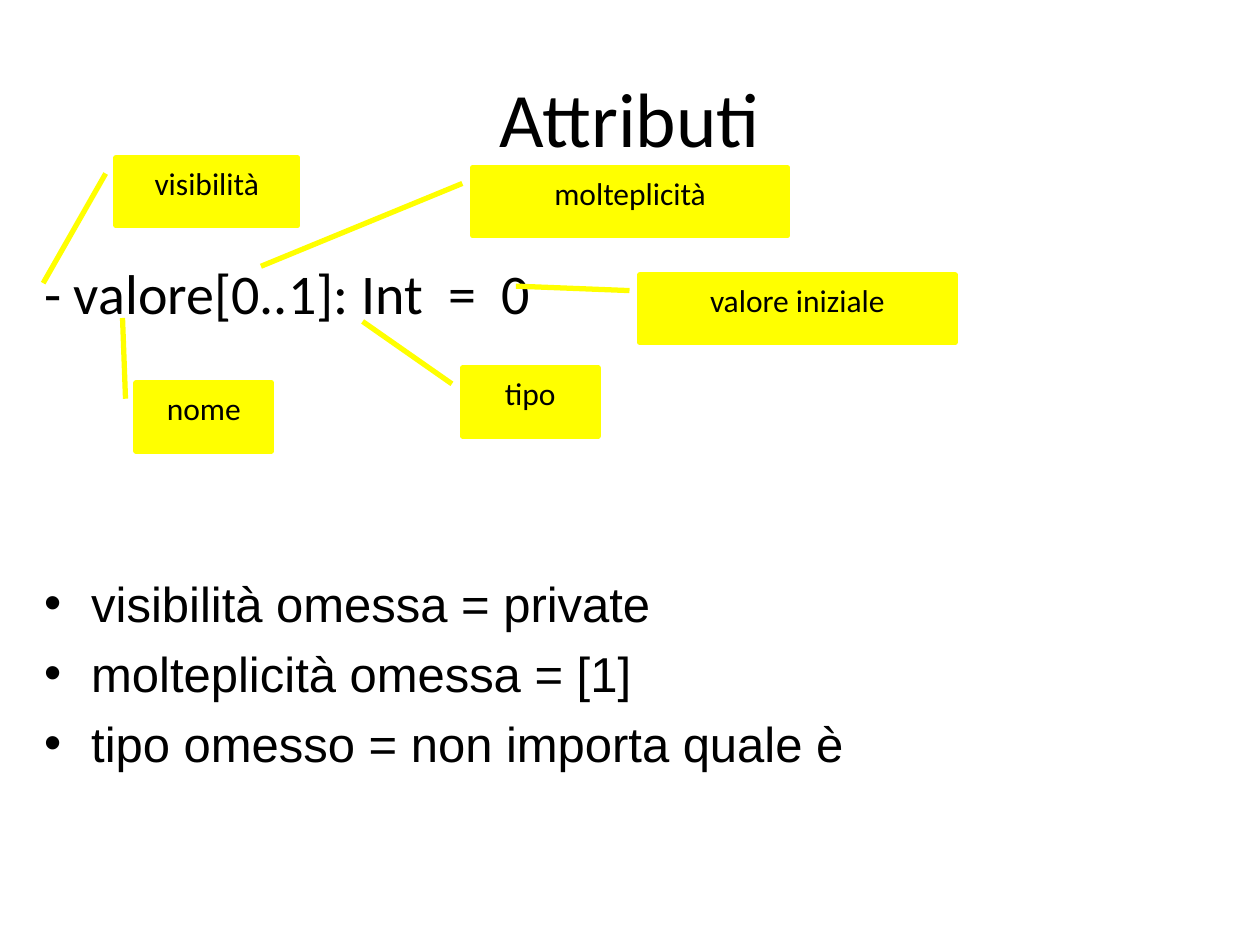
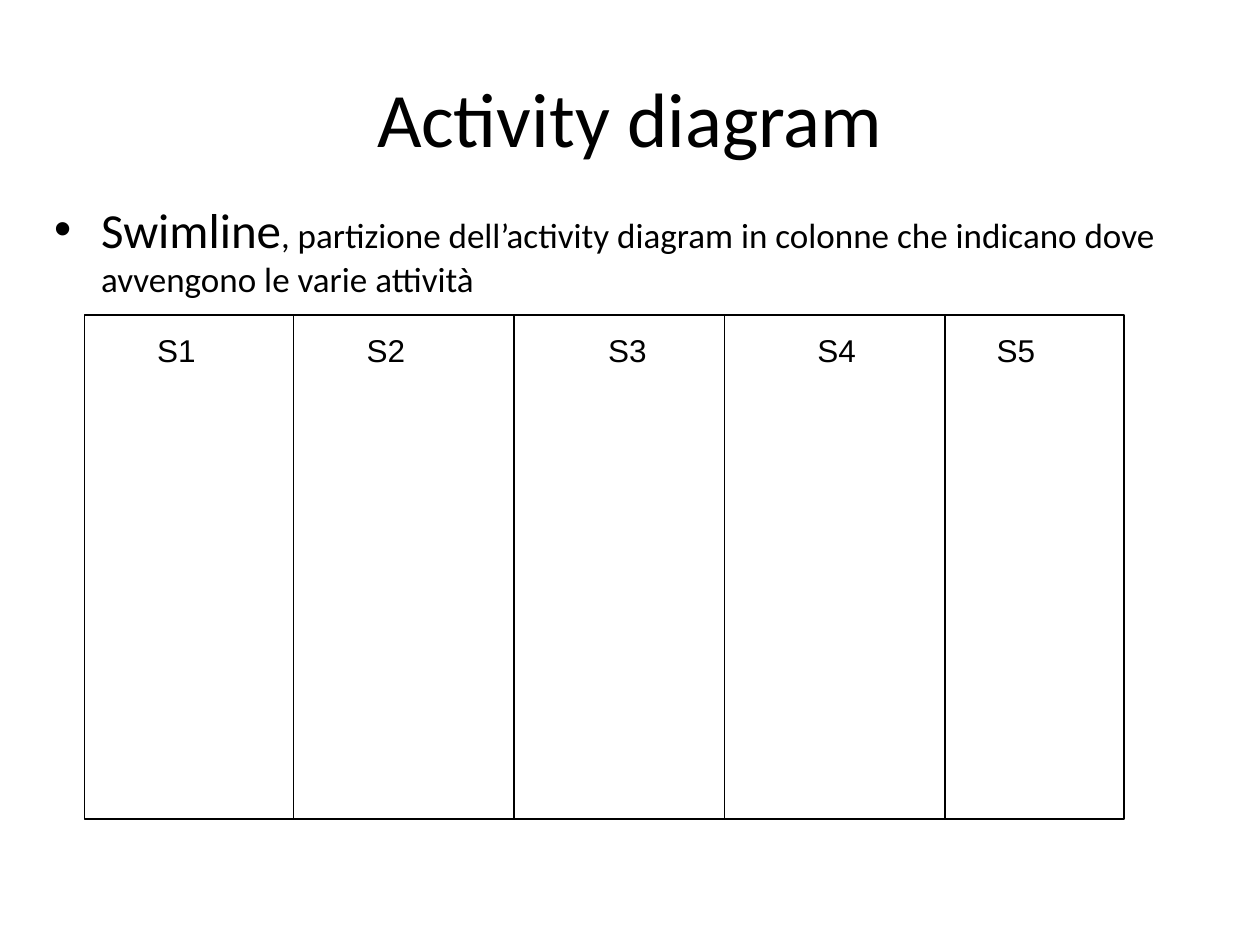
import dataclasses

import lxml.etree
import pptx
import pptx.dml.color
import pptx.enum.shapes
import pptx.enum.text
import pptx.oxml.ns
import pptx.util

Cm = pptx.util.Cm
Pt = pptx.util.Pt
RGBColor = pptx.dml.color.RGBColor
Align = pptx.enum.text.PP_ALIGN
Anchor = pptx.enum.text.MSO_ANCHOR
AutoSize = pptx.enum.text.MSO_AUTO_SIZE
Preset = pptx.enum.shapes.MSO_SHAPE


@dataclasses.dataclass(frozen=True)
class Theme:
    ink: RGBColor = RGBColor(0x00, 0x00, 0x00)
    highlight: RGBColor = RGBColor(0xFF, 0xFF, 0x00)
    heading_font: str = "Calibri"
    plain_font: str = "Arial"
    title_size: int = 44
    syntax_size: int = 32
    body_size: int = 28
    detail_size: int = 20
    label_size: int = 18
    callout_line: float = 3
    lane_line: float = 0.75
    indent: float = 0.95
    space_before: float = 0.23  # share of the type size


THEME = Theme()

CALLOUT_HEIGHT = 1.37
POINTER_GAP = 0.21
POINTER_DROP = 0.32
# label, left, top, width, point it refers to (all in cm)
ATTRIBUTE_PARTS = [
    ("nome", 2.74, 7.72, 2.74, (2.47, 6.41)),
    ("visibilità", 2.34, 3.18, 3.66, (0.87, 5.71)),
    ("tipo", 9.32, 7.42, 2.74, (7.31, 6.48)),
    ("valore iniziale", 12.9, 5.54, 6.35, (10.4, 5.77)),
    ("molteplicità", 9.53, 3.38, 6.35, (5.26, 5.37)),
]
DEFAULTS = [
    "visibilità omessa = private",
    "molteplicità omessa = [1]",
    "tipo omesso = non importa quale è",
]
LANES_LEFT, LANES_TOP, LANES_WIDTH, LANES_HEIGHT = 1.7, 6.35, 20.96, 10.16
LANE_DIVIDERS = [5.92, 10.36, 14.61, 19.05]
LANE_LABELS = [2.92, 7.14, 12.01, 16.23, 19.84]


def style_run(run, size, font):
    run.font.size = Pt(size)
    run.font.name = font
    run.font.color.rgb = THEME.ink


def add_text(shapes, box, lines, size, font):
    """Add a wrapping text box, one paragraph per line; return its frame."""
    frame = shapes.add_textbox(*map(Cm, box)).text_frame
    frame.word_wrap = True
    frame.text = "\n".join(lines)
    for paragraph in frame.paragraphs:
        for run in paragraph.runs:
            style_run(run, size, font)
    return frame


def add_title(slide, title):
    frame = add_text(slide.shapes, (1.27, 0.76, 22.86, 3.18), [title],
                     THEME.title_size, THEME.heading_font)
    frame.vertical_anchor = Anchor.MIDDLE
    frame.paragraphs[0].alignment = Align.CENTER


def add_body(slide, left, top, height, lines, size, font, bullet=True):
    """Add text with a hanging indent, bulleted on request."""
    frame = add_text(slide.shapes, (left, top, 23.93, height), lines, size, font)
    for paragraph in frame.paragraphs:
        paragraph.space_before = Pt(round(size * THEME.space_before, 1))
        properties = paragraph._p.get_or_add_pPr()
        properties.set("marL", str(Cm(THEME.indent)))
        properties.set("indent", str(-Cm(THEME.indent)))
        if bullet:
            qn = pptx.oxml.ns.qn
            lxml.etree.SubElement(properties, qn("a:buFont"), typeface="Arial")
            lxml.etree.SubElement(properties, qn("a:buChar"), char="•")
    return frame


def add_callout(slide, label, left, top, width, target):
    """Add a label whose pointer ends at the target point."""
    callout = slide.shapes.add_shape(
        Preset.LINE_CALLOUT_1, Cm(left), Cm(top), Cm(width), Cm(CALLOUT_HEIGHT))
    target_x, target_y = target
    pointer = (POINTER_DROP / CALLOUT_HEIGHT, -POINTER_GAP / width,
               (target_y - top) / CALLOUT_HEIGHT, (target_x - left) / width)
    for index, share in enumerate(pointer):
        callout.adjustments[index] = share
    callout.shadow.inherit = False
    callout.fill.solid()
    callout.fill.fore_color.rgb = THEME.highlight
    callout.line.color.rgb = THEME.highlight
    callout.line.width = Pt(THEME.callout_line)
    frame = callout.text_frame
    frame.text = label
    frame.word_wrap = True
    frame.auto_size = AutoSize.SHAPE_TO_FIT_TEXT
    frame.vertical_anchor = Anchor.TOP
    frame.paragraphs[0].alignment = Align.CENTER
    style_run(frame.paragraphs[0].runs[0], THEME.label_size, THEME.heading_font)


def style_lane_line(line):
    line.color.rgb = THEME.ink
    line.width = Pt(THEME.lane_line)


def add_divider(shapes, x):
    divider = shapes.add_connector(
        pptx.enum.shapes.MSO_CONNECTOR.STRAIGHT,
        Cm(x), Cm(LANES_TOP), Cm(x), Cm(LANES_TOP + LANES_HEIGHT))
    style_lane_line(divider.line)
    lxml.etree.SubElement(divider._element.spPr, pptx.oxml.ns.qn("a:effectLst"))


def add_swimlanes(slide):
    lanes = slide.shapes.add_group_shape().shapes
    for x in LANE_DIVIDERS:
        add_divider(lanes, x)
    frame = lanes.add_shape(Preset.RECTANGLE, Cm(LANES_LEFT), Cm(LANES_TOP),
                            Cm(LANES_WIDTH), Cm(LANES_HEIGHT))
    frame.shadow.inherit = False
    frame.fill.background()
    style_lane_line(frame.line)
    for number, left in enumerate(LANE_LABELS, start=1):
        label = add_text(lanes, (left, 6.55, 1.55, 1.27), [f"S{number}"],
                         THEME.label_size, THEME.plain_font)
        label.word_wrap = False
        label.auto_size = AutoSize.SHAPE_TO_FIT_TEXT


def build_attributes(slide):
    add_title(slide, "Attributi")
    add_body(slide, 0.64, 5.08, 4.24, ["- valore[0..1]: Int  =  0"],
             THEME.syntax_size, THEME.heading_font, bullet=False)
    for part in ATTRIBUTE_PARTS:
        add_callout(slide, *part)
    add_body(slide, 0.64, 11.43, 4.24, DEFAULTS, THEME.body_size, THEME.plain_font)


def build_activity_diagram(slide):
    add_title(slide, "Activity diagram")
    definition = add_body(slide, 0.84, 3.89, 1.7, ["Swimline"],
                          THEME.body_size, THEME.heading_font)
    detail = definition.paragraphs[0].add_run()
    detail.text = (", partizione dell’activity diagram in colonne "
                   "che indicano dove avvengono le varie attività")
    style_run(detail, THEME.detail_size, THEME.heading_font)
    add_swimlanes(slide)


def main():
    deck = pptx.Presentation()
    deck.slide_width, deck.slide_height = Cm(25.4), Cm(19.05)
    blank = deck.slide_layouts[6]
    for build in (build_attributes, build_activity_diagram):
        build(deck.slides.add_slide(blank))
    deck.save("out.pptx")


if __name__ == "__main__":
    main()
